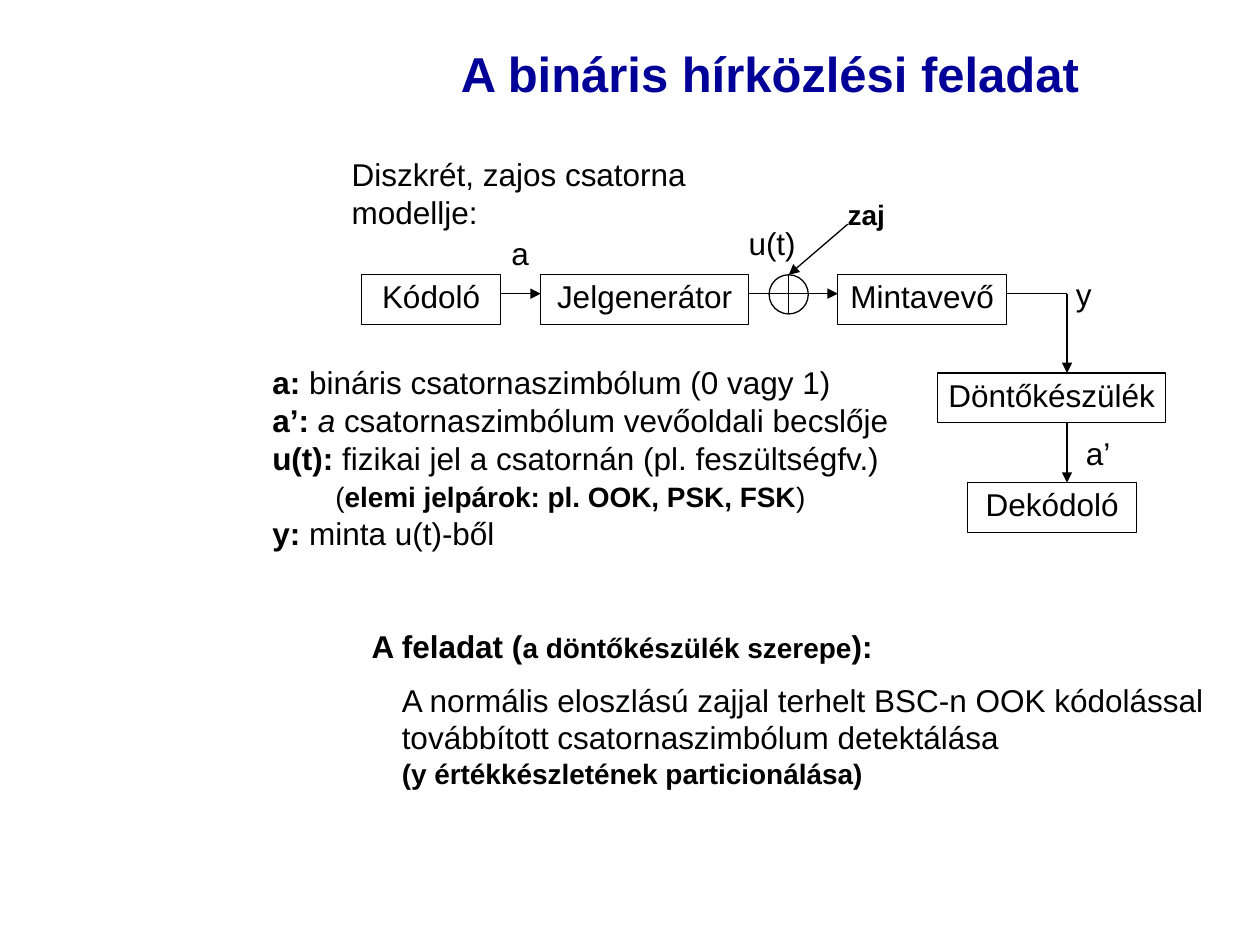
import pptx
import pptx.dml.color
import pptx.enum.shapes
import pptx.enum.text
import pptx.util
from lxml import etree
from pptx.oxml.ns import qn

Cm = pptx.util.Cm
Pt = pptx.util.Pt
SHAPE = pptx.enum.shapes.MSO_SHAPE
ALIGN = pptx.enum.text.PP_ALIGN
ANCHOR = pptx.enum.text.MSO_ANCHOR

COLORS = {"title": "000099", "ink": "000000"}
FONT = "Arial"
BOX_H = 1
ROW_Y = 5.54
SIGNAL_Y = 5.92
SUM_X = 15.9
SUM_D = 0.79
DECISION_X = 21.51

BOXES = [
    ("Kódoló", 7.29, ROW_Y, 2.8),
    ("Jelgenerátor", 10.9, ROW_Y, 4.19),
    ("Döntőkészülék", 18.9, 7.52, 4.6),
    ("Mintavevő", 16.89, ROW_Y, 3.4),
    ("Dekódoló", 19.51, 9.73, 3.4),
]
LINES = [
    (10.09, SIGNAL_Y, 10.9, SIGNAL_Y, True),
    (15.09, SIGNAL_Y, 16.89, SIGNAL_Y, True),
    (SUM_X, ROW_Y, SUM_X, ROW_Y + SUM_D, False),
    (20.29, SIGNAL_Y, DECISION_X, SIGNAL_Y, False),
    (DECISION_X, SIGNAL_Y, DECISION_X, 7.52, True),
    (DECISION_X, 8.53, DECISION_X, 9.73, True),
    (17.09, 4.52, SUM_X, ROW_Y, True),
]
LABELS = [
    ("Diszkrét, zajos csatorna modellje:", 7.09, 3.12, 9.45),
    ("a", 10.31, 4.72, 0.36),
    ("a’", 21.89, 8.74, 0.5),
    ("y", 21.69, ROW_Y, 0.33),
    ("u(t)", 15.09, 4.52, 0.97),
]
LEGEND = [
    [("a:", 18, "b"), (" bináris csatornaszimbólum (0 vagy 1)", 18, "")],
    [("a’: ", 18, "b"), ("a", 18, "i"), (" csatornaszimbólum vevőoldali becslője", 18, "")],
    [("u(t):", 18, "b"), (" fizikai jel a csatornán (pl. feszültségfv.)", 18, "")],
    [("\t", 18, ""), ("(", 16, ""), ("elemi jelpárok: pl. OOK, PSK, FSK", 16, "b"), (")", 16, "")],
    [("y:", 18, "b"), (" minta u(t)-ből", 18, "")],
]
TASK_HEADING = [
    [("A feladat (", 18, "b"), ("a döntőkészülék szerepe", 16, "b"), ("):", 18, "b")],
]
TASK = [
    [("A normális eloszlású zajjal terhelt BSC-n OOK kódolással "
      "továbbított csatornaszimbólum detektálása", 18, "")],
    [("(y értékkészletének particionálása)", 16, "b")],
]


def rgb(name):
    return pptx.dml.color.RGBColor.from_string(COLORS[name])


def set_style(font, size, style):
    font.size = Pt(size)
    font.bold = "b" in style
    font.italic = "i" in style


def fill_text(sp, paragraphs, color="ink", align=ALIGN.LEFT, anchor=ANCHOR.TOP, wrap=False):
    tf = sp.text_frame
    tf.margin_left = tf.margin_top = tf.margin_right = 0
    tf.margin_bottom = Cm(0.13)
    tf.word_wrap = wrap
    tf.vertical_anchor = anchor
    for i, runs in enumerate(paragraphs):
        p = tf.add_paragraph() if i else tf.paragraphs[0]
        p.alignment = align
        p.font.name = FONT
        p.font.color.rgb = rgb(color)
        uniform = len({run[1:] for run in runs}) == 1
        if uniform:
            set_style(p.font, *runs[0][1:])
        for text, size, style in runs:
            r = p.add_run()
            r.text = text
            if not uniform:
                set_style(r.font, size, style)


def add_text(slide, paragraphs, x, y, w, h, **options):
    sp = slide.shapes.add_textbox(Cm(x), Cm(y), Cm(w), Cm(h))
    fill_text(sp, paragraphs, **options)


def add_outline(slide, kind, x, y, w, h):
    sp = slide.shapes.add_shape(kind, Cm(x), Cm(y), Cm(w), Cm(h))
    sp.shadow.inherit = False
    sp.fill.background()
    sp.line.color.rgb = rgb("ink")
    sp.line.width = Pt(0.75)
    return sp


def add_box(slide, text, x, y, w):
    sp = add_outline(slide, SHAPE.RECTANGLE, x, y, w, BOX_H)
    fill_text(sp, [[(text, 18, "")]], align=ALIGN.CENTER, anchor=ANCHOR.MIDDLE)


def add_line(slide, x1, y1, x2, y2, arrow):
    line = slide.shapes.add_connector(
        pptx.enum.shapes.MSO_CONNECTOR.STRAIGHT, Cm(x1), Cm(y1), Cm(x2), Cm(y2))
    line.line.color.rgb = rgb("ink")
    line.line.width = Pt(0.75)
    if arrow:
        etree.SubElement(line.line._get_or_add_ln(), qn("a:tailEnd"), type="triangle")
    etree.SubElement(line._element.spPr, qn("a:effectLst"))


def main():
    prs = pptx.Presentation()
    prs.slide_width = Cm(25.4)
    prs.slide_height = Cm(19.05)
    s = prs.slides.add_slide(prs.slide_layouts[6])

    add_text(s, [[("A bináris hírközlési feladat", 28, "b")]], 6.91, 0.76, 17.22, 1.57,
             color="title", align=ALIGN.CENTER, anchor=ANCHOR.MIDDLE, wrap=True)
    for box in BOXES:
        add_box(s, *box)
    add_outline(s, SHAPE.OVAL, SUM_X - SUM_D / 2, ROW_Y, SUM_D, SUM_D)
    for line in LINES:
        add_line(s, *line)
    for text, x, y, w in LABELS:
        add_text(s, [[(text, 18, "")]], x, y, w, 0.89)
    add_text(s, [[("zaj", 16, "b")]], 17.09, 3.99, 0.76, 0.81)
    add_text(s, LEGEND, 5.49, 7.32, 14, 3.94, wrap=True)
    add_text(s, TASK_HEADING, 7.49, 12.65, 10.13, 0.89)
    add_text(s, TASK, 8.1, 13.72, 16.51, 2.34, wrap=True)

    prs.save("out.pptx")


if __name__ == "__main__":
    main()
